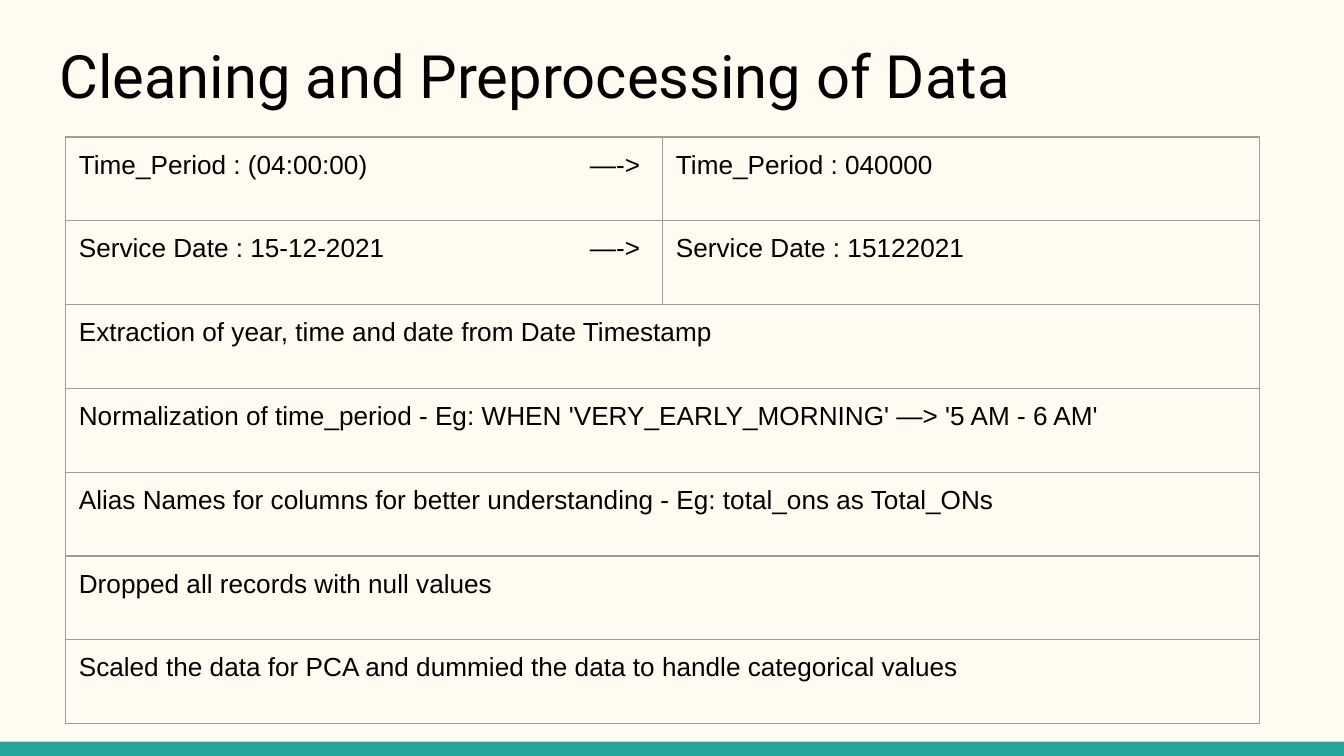
from lxml.etree import SubElement
from pptx import Presentation
from pptx.dml.color import RGBColor
from pptx.enum.shapes import MSO_SHAPE
from pptx.oxml.ns import qn
from pptx.util import Cm, Pt

CREAM = RGBColor(0xFF, 0xFB, 0xF0)
TEAL = RGBColor(0x26, 0xA6, 0x9A)
GREY = RGBColor(0x9E, 0x9E, 0x9E)
BLACK = RGBColor(0x00, 0x00, 0x00)
INSET = Cm(0.25)
ARROW_TAB = Cm(9.66)

STEPS = [
    ("Time_Period : (04:00:00)\t—->", "Time_Period : 040000"),
    ("Service Date : 15-12-2021\t—->", "Service Date : 15122021"),
    ("Extraction of year, time and date from Date Timestamp",),
    ("Normalization of time_period - Eg: WHEN 'VERY_EARLY_MORNING' —> '5 AM - 6 AM'",),
    ("Alias Names for columns for better understanding - Eg: total_ons as Total_ONs",),
    ("Dropped all records with null values",),
    ("Scaled the data for PCA and dummied the data to handle categorical values",),
]


def write(frame, text, font="Arial", size=14, color=BLACK, tab=None):
    """Fill the first paragraph of a text frame, with an optional tab stop."""
    para = frame.paragraphs[0]
    if tab is not None:
        stops = SubElement(para._p.get_or_add_pPr(), qn("a:tabLst"))
        SubElement(stops, qn("a:tab"), pos=str(tab), algn="l")
    span = para.add_run()
    span.text = text
    span.font.name = font
    span.font.size = Pt(size)
    span.font.color.rgb = color


def set_insets(holder):
    holder.margin_left = holder.margin_right = INSET
    holder.margin_top = holder.margin_bottom = INSET


def draw_borders(cell, color=GREY, width=Pt(0.75)):
    properties = cell._tc.get_or_add_tcPr()
    for side in ("lnL", "lnR", "lnT", "lnB"):
        line = SubElement(properties, qn(f"a:{side}"), w=str(width))
        fill = SubElement(line, qn("a:solidFill"))
        SubElement(fill, qn("a:srgbClr"), val=str(color))


class SlideBuilder:
    def __init__(self, page):
        self.page = page
        page.background.fill.solid()
        page.background.fill.fore_color.rgb = CREAM

    def bar(self, left, top, width, height):
        bar = self.page.shapes.add_shape(MSO_SHAPE.RECTANGLE, left, top, width, height)
        bar.shadow.inherit = False
        bar.fill.solid()
        bar.fill.fore_color.rgb = TEAL
        bar.line.fill.background()

    def title(self, text, left, top, width, height):
        box = self.page.shapes.add_textbox(left, top, width, height)
        box.text_frame.word_wrap = True
        set_insets(box.text_frame)
        write(box.text_frame, text, font="Roboto", size=32)

    def table(self, rows, left, top, width, height):
        """Draw a two-column table; a row with one text spans both columns."""
        table = self.page.shapes.add_table(len(rows), 2, left, top, width, height).table
        table.first_row = table.horz_banding = False
        for row, texts in enumerate(rows):
            for column in range(2):
                cell = table.cell(row, column)
                set_insets(cell)
                draw_borders(cell)
                cell.fill.background()
            for column, text in enumerate(texts):
                tab = ARROW_TAB if "\t" in text else None
                write(table.cell(row, column).text_frame, text, tab=tab)
            if len(texts) == 1:
                table.cell(row, 0).merge(table.cell(row, 1))


def main():
    deck = Presentation()
    deck.slide_width, deck.slide_height = Cm(25.4), Cm(14.29)
    builder = SlideBuilder(deck.slides.add_slide(deck.slide_layouts[6]))
    builder.bar(Cm(0), Cm(14.02), deck.slide_width, Cm(0.27))
    builder.title("Cleaning and Preprocessing of Data", Cm(0.87), Cm(0.48), Cm(23.67), Cm(1.7))
    builder.table(STEPS, Cm(1.24), Cm(2.59), Cm(22.57), Cm(11.09))
    deck.save("out.pptx")


if __name__ == "__main__":
    main()
